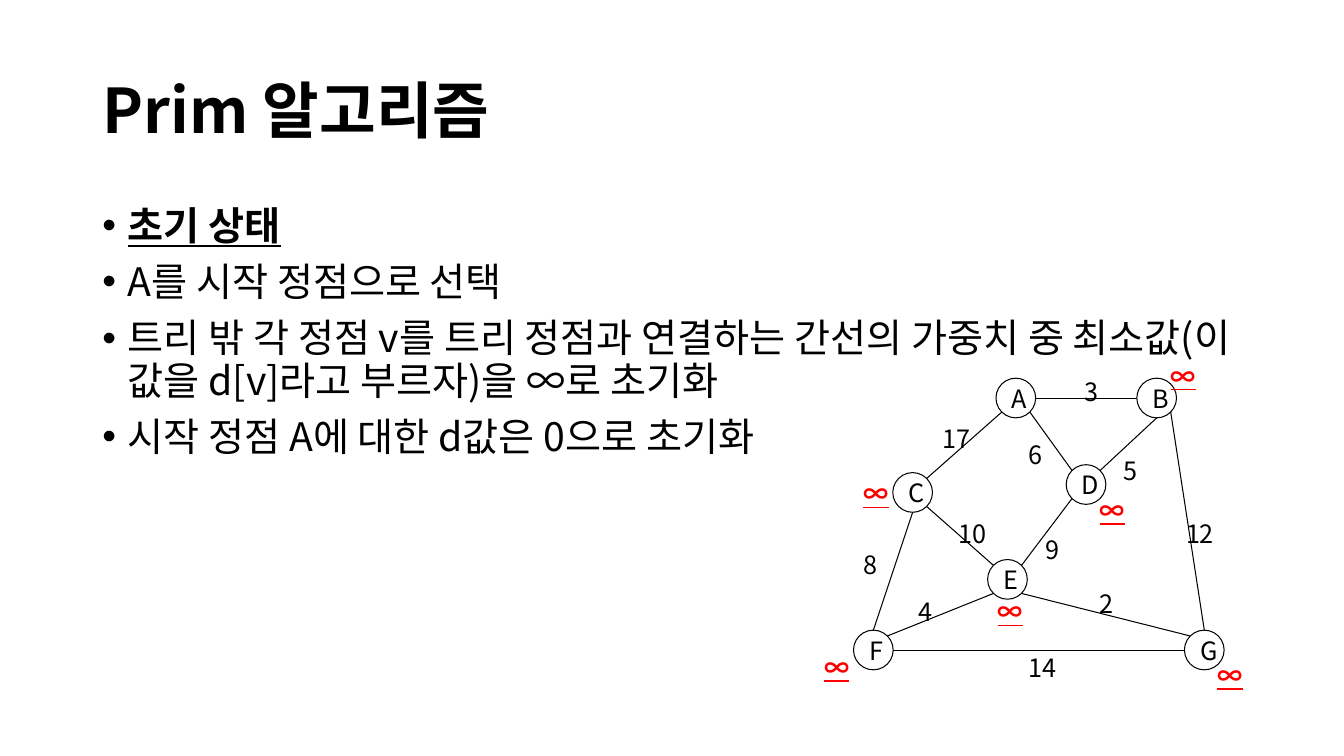
import math

import lxml.etree
import pptx
import pptx.dml.color
import pptx.enum.shapes
import pptx.enum.text
import pptx.oxml.ns
import pptx.util

Cm = pptx.util.Cm
Pt = pptx.util.Pt
qn = pptx.oxml.ns.qn
ALIGN = pptx.enum.text.PP_ALIGN
ANCHOR = pptx.enum.text.MSO_ANCHOR
AUTOSIZE = pptx.enum.text.MSO_AUTO_SIZE

BLACK = pptx.dml.color.RGBColor(0x00, 0x00, 0x00)
RED = pptx.dml.color.RGBColor(0xFF, 0x00, 0x00)
FONT = "Noto Sans CJK KR"
NODE_SIZE = 1.0
LABEL_HEIGHT = 1.12

NODES = {
    "A": (25.1, 9.53),
    "B": (28.65, 9.53),
    "C": (22.5, 11.91),
    "D": (26.87, 11.71),
    "E": (24.89, 14.1),
    "F": (21.51, 15.88),
    "G": (29.85, 15.88),
}

ANGLES = {"right": 0, "bottom right": 45, "bottom": 90, "bottom left": 135,
          "left": 180, "top left": 225, "top": 270, "top right": 315}

EDGES = [
    ("A", "bottom left", "C", "top right", "17", 23.5, 10.31),
    ("D", "bottom left", "E", "top right", "9", 26.09, 13.11),
    ("D", "top left", "A", "bottom right", "6", 25.68, 10.72),
    ("C", "bottom right", "E", "top left", "10", 23.9, 12.7),
    ("C", "bottom", "F", "top", "8", 21.51, 13.49),
    ("E", "bottom left", "F", "top right", "4", 22.91, 14.68),
    ("E", "bottom right", "G", "top left", "2", 27.46, 14.48),
    ("B", "left", "A", "right", "3", 27.08, 9.12),
    ("D", "top right", "B", "bottom", "5", 28.07, 11.13),
    ("G", "top", "B", "bottom right", "12", 29.64, 12.7),
    ("G", "left", "F", "right", "14", 25.68, 16.08),
]

DISTANCES = [(29.26, 8.74), (27.46, 12.12), (21.51, 11.71),
             (24.89, 14.68), (20.52, 16.08), (30.43, 16.28)]

BULLETS = [
    "초기 상태",
    "A를 시작 정점으로 선택",
    "트리 밖 각 정점 v를 트리 정점과 연결하는 간선의 가중치 중 최소값"
    "(이 값을 d[v]라고 부르자)을 ∞로 초기화",
    "시작 정점 A에 대한 d값은 0으로 초기화",
]


def write(p, text, size=18, color=BLACK, bold=False, underline=False,
          align=ALIGN.LEFT, spacing=None, before=0):
    p.alignment = align
    p.space_before = Pt(before)
    if spacing:
        p.line_spacing = spacing
    r = p.add_run()
    r.text = text
    r.font.size = Pt(size)
    r.font.bold = bold
    r.font.underline = underline
    r.font.color.rgb = color
    r.font.name = FONT
    ea = lxml.etree.SubElement(r.font._element, qn("a:ea"))
    ea.set("typeface", FONT)


def add_title(s, text):
    sp = s.shapes.title
    sp.left, sp.top, sp.width, sp.height = Cm(2.33), Cm(1.01), Cm(29.21), Cm(3.68)
    tf = sp.text_frame
    tf.auto_size = AUTOSIZE.NONE
    tf.vertical_anchor = ANCHOR.MIDDLE
    write(tf.paragraphs[0], text, size=44, bold=True, spacing=0.9)


def add_bullets(s, items):
    tf = s.shapes.add_textbox(Cm(2.33), Cm(5.07), Cm(29.21), Cm(12.09)).text_frame
    tf.word_wrap = True
    for i, text in enumerate(items):
        p = tf.add_paragraph() if i else tf.paragraphs[0]
        pPr = p._p.get_or_add_pPr()
        pPr.set("marL", str(Cm(0.64)))
        pPr.set("indent", str(Cm(-0.64)))
        lxml.etree.SubElement(pPr, qn("a:buFont")).set("typeface", "Arial")
        lxml.etree.SubElement(pPr, qn("a:buChar")).set("char", "•")
        heading = i == 0
        write(p, text, size=28, bold=heading, underline=heading,
              spacing=0.9, before=0 if heading else 10)


def add_node(s, name):
    x, y = NODES[name]
    sp = s.shapes.add_shape(pptx.enum.shapes.MSO_SHAPE.OVAL,
                            Cm(x), Cm(y), Cm(NODE_SIZE), Cm(NODE_SIZE))
    sp.shadow.inherit = False
    sp.fill.background()
    sp.line.color.rgb = BLACK
    sp.line.width = Pt(0.75)
    sp.text_frame.vertical_anchor = ANCHOR.MIDDLE
    write(sp.text_frame.paragraphs[0], name, align=ALIGN.CENTER)


def rim_point(name, side):
    x, y = NODES[name]
    angle = math.radians(ANGLES[side])
    radius = NODE_SIZE / 2
    return (Cm(x + radius + radius * math.cos(angle)),
            Cm(y + radius + radius * math.sin(angle)))


def add_edge(s, start, start_side, end, end_side):
    line = s.shapes.add_connector(pptx.enum.shapes.MSO_CONNECTOR.STRAIGHT,
                                  *rim_point(start, start_side),
                                  *rim_point(end, end_side))
    line.line.color.rgb = BLACK
    line.line.width = Pt(0.75)
    lxml.etree.SubElement(line._element.spPr, qn("a:effectLst"))


def add_label(s, text, x, y, width, **style):
    tf = s.shapes.add_textbox(Cm(x), Cm(y), Cm(width), Cm(LABEL_HEIGHT)).text_frame
    tf.word_wrap = False
    tf.auto_size = AUTOSIZE.SHAPE_TO_FIT_TEXT
    write(tf.paragraphs[0], text, spacing=1.3, **style)


def main():
    prs = pptx.Presentation()
    prs.slide_width, prs.slide_height = Cm(33.87), Cm(19.05)
    s = prs.slides.add_slide(prs.slide_layouts[5])
    add_title(s, "Prim 알고리즘")
    add_bullets(s, BULLETS)
    for name in NODES:
        add_node(s, name)
    for start, start_side, end, end_side, weight, x, y in EDGES:
        add_edge(s, start, start_side, end, end_side)
        add_label(s, weight, x, y, 0.51 + 0.38 * len(weight))
    for x, y in DISTANCES:
        add_label(s, "∞", x, y, 1.09, color=RED, bold=True, underline=True)
    prs.save("out.pptx")


if __name__ == "__main__":
    main()
